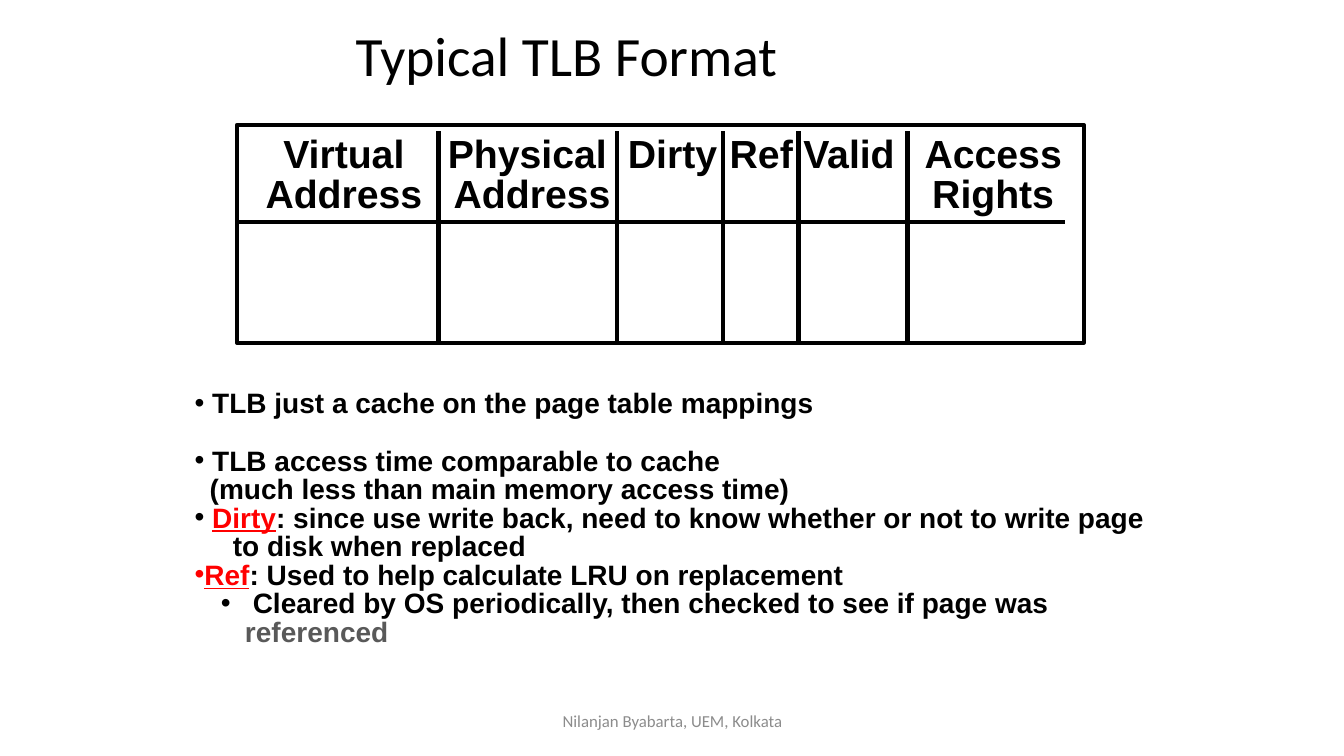
from lxml import etree
from pptx import Presentation
from pptx.dml.color import RGBColor
from pptx.enum.shapes import MSO_CONNECTOR, MSO_SHAPE
from pptx.enum.text import MSO_ANCHOR, PP_ALIGN
from pptx.oxml.ns import qn
from pptx.util import Inches, Pt

RECT, STRAIGHT = MSO_SHAPE.RECTANGLE, MSO_CONNECTOR.STRAIGHT
MIDDLE, TOP = MSO_ANCHOR.MIDDLE, MSO_ANCHOR.TOP
LEFT, CENTER = PP_ALIGN.LEFT, PP_ALIGN.CENTER
BLACK, RED, DARK_GRAY, GRAY = "000000", "FF0000", "595959", "8C8C8C"
WIDE_INSETS, TIGHT_INSETS = (0.1, 0.05), (0.07, 0.03)

TITLE = {"name": "Calibri", "size": Pt(39.6)}
HEADING = {"name": "Arial", "size": Pt(28), "bold": True}
BODY = {"name": "Arial", "size": Pt(20), "bold": True}
FOOTER = {"name": "Calibri", "size": Pt(12)}
TERM = {"underline": True}

HEADER_ROWS = ["\tVirtual\tPhysical\tDirty\tRef\tValid\tAccess",
               "\tAddress\t Address\t\t\t\tRights"]
HEADER_TABS = [0.99, 2.81, 4.25, 5.13, 6, 7.43]
DIVIDERS = [2, 3.77, 4.82, 5.57, 6.65]

# Each note: runs of (text, colour, extra format), then paragraph options
NOTES = [
    ([(" TLB just a cache on the page table mappings", BLACK, {})], {}),
    ([(" TLB access time comparable to cache\n"
       "\t(much less than main memory access time)", BLACK, {})],
     {"before": 20.4, "tab": 0.15}),
    ([(" ", BLACK, {}), ("Dirty", RED, TERM),
      (": since use write back, need to know whether or not to write page\n"
       "\tto disk when replaced", BLACK, {})], {"tab": 0.38}),
    ([("Ref", RED, TERM),
      (": Used to help calculate LRU on replacement", BLACK, {})], {}),
    ([(" Cleared by OS periodically, then checked to see if page was ",
       BLACK, {}), ("referenced", DARK_GRAY, {})],
     {"level": 1, "margin": 0.5, "indent": -0.24}),
]


def rgb(value):
    return RGBColor.from_string(value)


def add_box(slide, box, insets, anchor):
    sp = slide.shapes.add_textbox(*map(Inches, box))
    tf = sp.text_frame
    tf.word_wrap = True
    tf.vertical_anchor = anchor
    tf.margin_left = tf.margin_right = Inches(insets[0])
    tf.margin_top = tf.margin_bottom = Inches(insets[1])
    return tf


def next_paragraph(tf, spacing=1.0, align=LEFT):
    """Return the empty first paragraph, or a new one after it."""
    p = tf.paragraphs[0]
    if p.runs:
        p = tf.add_paragraph()
    p.line_spacing = spacing
    p.alignment = align
    return p


def add_run(p, text, fmt, color=BLACK):
    for i, line in enumerate(text.split("\n")):
        if i:
            p.add_line_break()
        r = p.add_run()
        r.text = line
        for key, value in fmt.items():
            setattr(r.font, key, value)
        r.font.color.rgb = rgb(color)


def add_bullet(p, margin, indent):
    pPr = p._p.get_or_add_pPr()
    pPr.set("marL", str(Inches(margin)))
    pPr.set("indent", str(Inches(indent)))
    etree.SubElement(pPr, qn("a:buFont")).set("typeface", "Arial")
    etree.SubElement(pPr, qn("a:buChar")).set("char", "•")


def add_tabs(p, stops, align):
    tabs = etree.SubElement(p._p.get_or_add_pPr(), qn("a:tabLst"))
    for stop in stops:
        tab = etree.SubElement(tabs, qn("a:tab"))
        tab.set("pos", str(Inches(stop)))
        tab.set("algn", align)


def add_rule(slide, x1, y1, x2, y2):
    line = slide.shapes.add_connector(STRAIGHT, *map(Inches, (x1, y1, x2, y2)))
    line.line.color.rgb = rgb(BLACK)
    line.line.width = Pt(3)
    etree.SubElement(line._element.spPr, qn("a:effectLst"))


def add_line_of_text(slide, box, text, fmt, color, spacing, align):
    tf = add_box(slide, box, WIDE_INSETS, MIDDLE)
    add_run(next_paragraph(tf, spacing, align), text, fmt, color)


def add_tlb_format(slide, x, y, w, h):
    """Draw the framed TLB entry: headings, column dividers, header rule."""
    frame = slide.shapes.add_shape(RECT, *map(Inches, (x, y, w, h)))
    frame.shadow.inherit = False
    frame.fill.background()
    frame.line.color.rgb = rgb(BLACK)
    frame.line.width = Pt(3)

    tf = add_box(slide, (x, y + 0.08, w - 0.12, 0.85), TIGHT_INSETS, TOP)
    for row in HEADER_ROWS:
        p = next_paragraph(tf, 0.85)
        add_tabs(p, HEADER_TABS, "ctr")
        add_run(p, row, HEADING)

    for dx in DIVIDERS:
        add_rule(slide, x + dx, y + 0.06, x + dx, y + h + 0.02)
    add_rule(slide, x + 0.02, y + 0.96, x + w - 0.19, y + 0.96)


def add_notes_list(slide, box):
    tf = add_box(slide, box, TIGHT_INSETS, TOP)
    for runs, options in NOTES:
        p = next_paragraph(tf, 0.85)
        p.level = options.get("level", 0)
        if "before" in options:
            p.space_before = Pt(options["before"])
        add_bullet(p, options.get("margin", 0), options.get("indent", 0))
        if "tab" in options:
            add_tabs(p, [options["tab"]], "l")
        for text, color, extra in runs:
            add_run(p, text, {**BODY, **extra}, color)


def main():
    prs = Presentation()
    prs.slide_width, prs.slide_height = Inches(13.33), Inches(7.5)
    slide = prs.slides.add_slide(prs.slide_layouts[6])
    add_line_of_text(slide, (3.43, 0.3, 5.75, 0.57), "Typical TLB Format",
                     TITLE, BLACK, 0.9, LEFT)
    add_tlb_format(slide, 2.35, 1.24, 8.4, 2.16)
    add_notes_list(slide, (1.86, 3.85, 9.62, 2.63))
    add_line_of_text(slide, (4.42, 6.95, 4.5, 0.4),
                     "Nilanjan Byabarta, UEM, Kolkata",
                     FOOTER, GRAY, 1.0, CENTER)
    prs.save("out.pptx")


if __name__ == "__main__":
    main()
